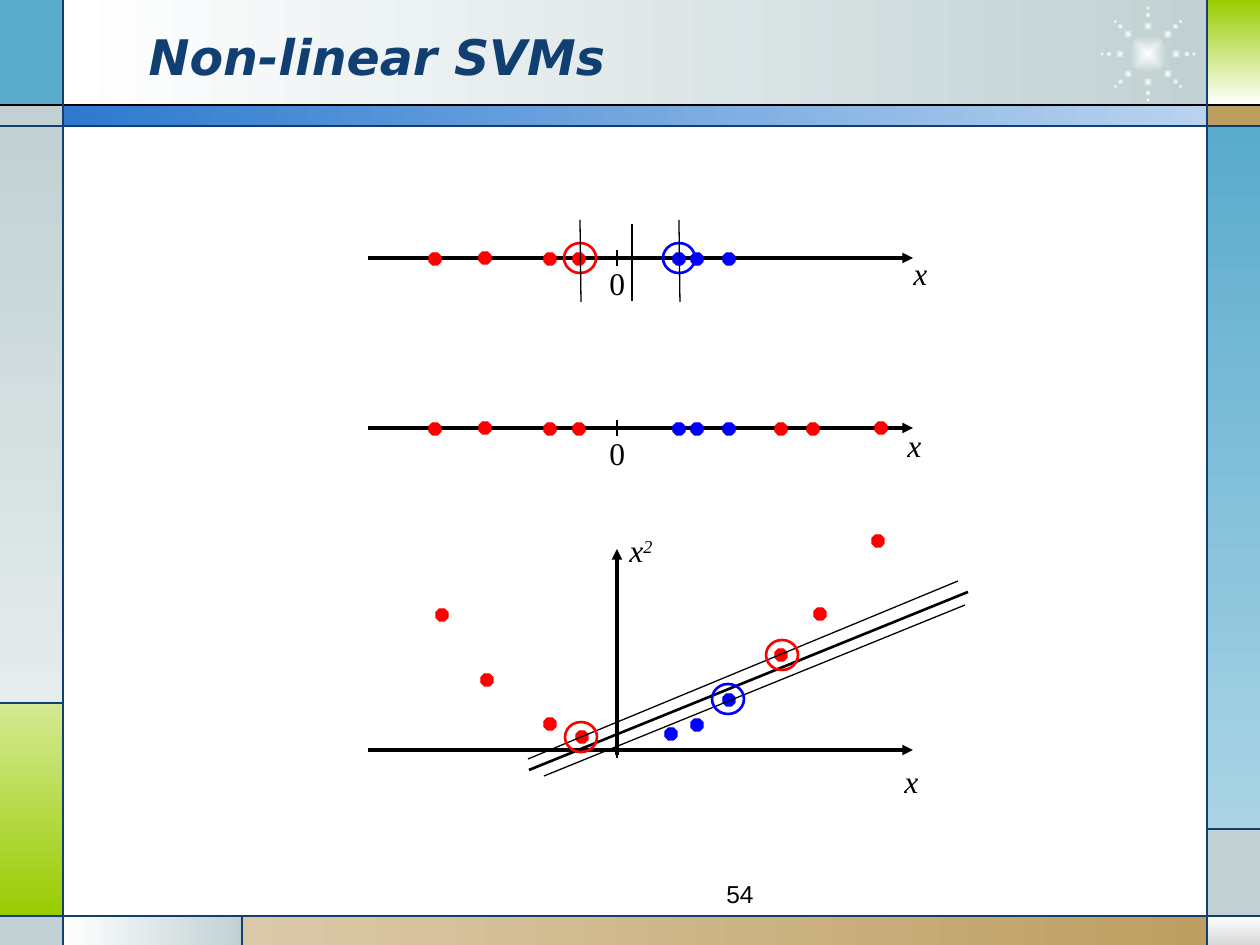
from math import cos, pi, sin

from lxml.etree import SubElement
from pptx import Presentation
from pptx.dml.color import RGBColor
from pptx.enum.shapes import MSO_CONNECTOR, MSO_SHAPE
from pptx.enum.text import MSO_ANCHOR, PP_ALIGN
from pptx.oxml.ns import qn
from pptx.util import Pt

PX = 914400 / 126
BLACK, NAVY, RED, BLUE = "000000", "113F71", "FF0000", "0000FF"
WHITE, GREY, SKY, TAN, LIME = "FFFFFF", "C1D1D3", "5AABCC", "BD9E61", "99CC00"
SERIF = "Times New Roman"


def px(*values):
    return [round(v * PX) for v in values]


def rgb(color):
    return RGBColor.from_string(color)


def shape(s, kind, box, fill=None, line=None, width=0.75):
    """Preset shape; fill is a hex colour or (first, last, angle)."""
    sp = s.shapes.add_shape(kind, *px(*box))
    sp.shadow.inherit = False
    if fill is None:
        sp.fill.background()
    elif isinstance(fill, str):
        sp.fill.solid()
        sp.fill.fore_color.rgb = rgb(fill)
    else:
        first, last, angle = fill
        sp.fill.gradient()
        sp.fill.gradient_angle = -angle % 360
        for stop, color, pos in zip(sp.fill.gradient_stops, (first, last), (0, 1)):
            stop.color.rgb = rgb(color)
            stop.position = pos
    if line:
        sp.line.color.rgb = rgb(line)
        sp.line.width = Pt(width)
    else:
        sp.line.fill.background()
    return sp


def line(s, x1, y1, x2, y2, width=0.75, color=BLACK, arrow=False):
    c = s.shapes.add_connector(MSO_CONNECTOR.STRAIGHT, *px(x1, y1, x2, y2))
    c.line.color.rgb = rgb(color)
    c.line.width = Pt(width)
    if arrow:
        SubElement(c.line._get_or_add_ln(), qn("a:tailEnd"), type="triangle")
    SubElement(c._element.spPr, qn("a:effectLst"))


def text(s, box, value, font=SERIF, size=18, italic=False, align=PP_ALIGN.LEFT):
    tf = s.shapes.add_textbox(*px(*box)).text_frame
    tf.word_wrap = True
    p = tf.paragraphs[0]
    p.text = value
    p.alignment = align
    p.font.name, p.font.size, p.font.italic = font, Pt(size), italic
    p.font.color.rgb = rgb(BLACK)
    return p


def dots(s, x, y, centres, color):
    for dx, dy in centres:
        shape(s, MSO_SHAPE.OCTAGON, (x + dx - 6, y + dy - 6, 12, 12), color, color)


def ring(s, cx, cy, color):
    shape(s, MSO_SHAPE.OVAL, (cx - 16, cy - 15, 32, 30), None, color, 1.5)


def glow(s, cx, cy, d):
    """Round spot, white at the centre."""
    sp = shape(s, MSO_SHAPE.OVAL, (cx - d / 2, cy - d / 2, d, d), (WHITE, GREY, 0))
    grad = sp._element.spPr.find(qn("a:gradFill"))
    grad.remove(grad.find(qn("a:lin")))
    centre = SubElement(grad, qn("a:path"), path="rect")
    SubElement(centre, qn("a:fillToRect"), l="50000", t="50000", r="50000", b="50000")


def starburst(s, box):
    x, y, w, h = box
    cx, cy = x + w / 2, y + h / 2
    glow(s, cx, cy, 38)
    for ray in range(8):
        a = ray * pi / 4
        for radius, d in ((28, 9), (39, 6), (46, 4)):
            glow(s, cx + radius * cos(a), cy + radius * sin(a), d)


def frame(s, box):
    x, y, w, h = box
    right, bottom = x + w, y + h
    inner_l, inner_r = x + 63, right - 53
    panels = [
        # Header
        (inner_l, y, inner_r, y + 105, (WHITE, GREY, 0)),
        # Left column
        (x, y, inner_l, y + 105, SKY),
        (x, y + 105, inner_l, y + 126, GREY),
        (x, y + 126, inner_l, y + 703, (GREY, "E5ECEC", 90)),
        (x, y + 703, inner_l, y + 916, ("D4E993", LIME, 90)),
        (x, y + 916, inner_l, bottom, GREY),
        # Bottom strip
        (inner_l, y + 916, x + 242, bottom, (WHITE, GREY, 0)),
        (x + 242, y + 916, inner_r, bottom, ("DBCAA9", TAN, 0)),
        # Right column
        (inner_r, y + 916, right, bottom, (WHITE, "D8D8D8", 90)),
        (inner_r, y + 829, right, y + 916, GREY),
        (inner_r, y + 126, right, y + 829, (SKY, "AAD4E5", 90)),
        (inner_r, y + 105, right, y + 126, TAN),
        (inner_r, y, right, y + 105, (LIME, WHITE, 90)),
        # Band under the header
        (inner_l, y + 105, inner_r, y + 126, ("2D7ACF", "B9D3EF", 0)),
    ]
    for x1, y1, x2, y2, fill in panels:
        shape(s, MSO_SHAPE.RECTANGLE, (x1, y1, x2 - x1, y2 - y1), fill)
    starburst(s, (x + 1101, y + 7, 94, 94))
    line(s, x, y + 105, right, y + 105)
    for rule in [
        (x, y + 126, right, y + 126), (x, y + 916, right, y + 916),
        (inner_l, y, inner_l, bottom), (inner_r, y, inner_r, bottom),
        (x, y + 703, inner_l, y + 703), (x + 242, y + 916, x + 242, bottom),
        (inner_r, y + 829, right, y + 829),
    ]:
        line(s, *rule, color=NAVY)


def title(s, box, value):
    sp = s.shapes.title
    s.shapes._spTree.append(sp._element)  # in front of the frame
    sp.left, sp.top, sp.width, sp.height = px(*box)
    tf = sp.text_frame
    tf.text = value
    tf.vertical_anchor = MSO_ANCHOR.MIDDLE
    p = tf.paragraphs[0]
    p.alignment = PP_ALIGN.LEFT
    p.font.name, p.font.size = "DejaVu Sans", Pt(28)
    p.font.bold = p.font.italic = True
    p.font.color.rgb = rgb(NAVY)


def x_axis(s, x, y, label_x, label_y):
    line(s, x, y, x + 545, y, 2, arrow=True)
    line(s, x + 249, y - 8, x + 249, y + 8)
    text(s, (x + label_x, y + label_y, 63, 50), "x", italic=True)


def number_line(s, box, label_x, label_y, outer=()):
    x, y, w, h = box
    y += 38
    x_axis(s, x, y, label_x, label_y)
    text(s, (x + 229, y, 47, 50), "0")
    dots(s, x, y, [(67, 1), (117, 0), (182, 1), (211, 1), *outer], RED)
    dots(s, x, y, [(311, 1), (329, 1), (361, 1)], BLUE)


def separable_line(s, box):
    x, y, w, h = box
    number_line(s, box, 533, -10)
    line(s, x + 264, y + 4, x + 264, y + 81, 1.5)
    for dx, color in ((311, BLUE), (212, RED)):
        ring(s, x + dx, y + 38, color)
        line(s, x + dx + 1, y + 82, x + dx, y)


def squared_plot(s, box):
    x, y, w, h = box
    x_axis(s, x, y + 225, 524, 6)
    dots(s, x, y, [(74, 90), (119, 155), (182, 199), (214, 212),
                   (413, 130), (452, 89), (510, 16)], RED)
    dots(s, x, y, [(303, 209), (329, 200), (361, 175)], BLUE)
    line(s, x + 249, y + 230, x + 249, y + 24, 2, arrow=True)
    p = text(s, (x + 249, y, 63, 50), "x", italic=True)
    r = p.add_run()
    r.text = "2"
    r.font._element.set("baseline", "30000")
    # Separating line and its margins
    for x1, y1, x2, y2, width in ((161, 245, 600, 67, 1.5),
                                  (160, 234, 590, 56, 0.75),
                                  (176, 251, 597, 80, 0.75)):
        line(s, x + x1, y + y1, x + x2, y + y2, width)
    for dx, dy, color in ((414, 130, RED), (360, 174, BLUE), (213, 212, RED)):
        ring(s, x + dx, y + dy, color)


def main():
    prs = Presentation()
    prs.slide_width, prs.slide_height = px(1260, 945)
    s = prs.slides.add_slide(prs.slide_layouts[5])
    frame(s, (0, 0, 1260, 945))
    title(s, (136, 17, 924, 78), "Non-linear SVMs")
    text(s, (472, 873, 294, 34), "54", "Arial", 14, align=PP_ALIGN.RIGHT)
    separable_line(s, (368, 220, 545, 84))
    number_line(s, (368, 390, 545, 84), 527, -8, [(413, 1), (445, 1), (513, 0)])
    squared_plot(s, (368, 525, 600, 281))
    prs.save("out.pptx")


if __name__ == "__main__":
    main()
